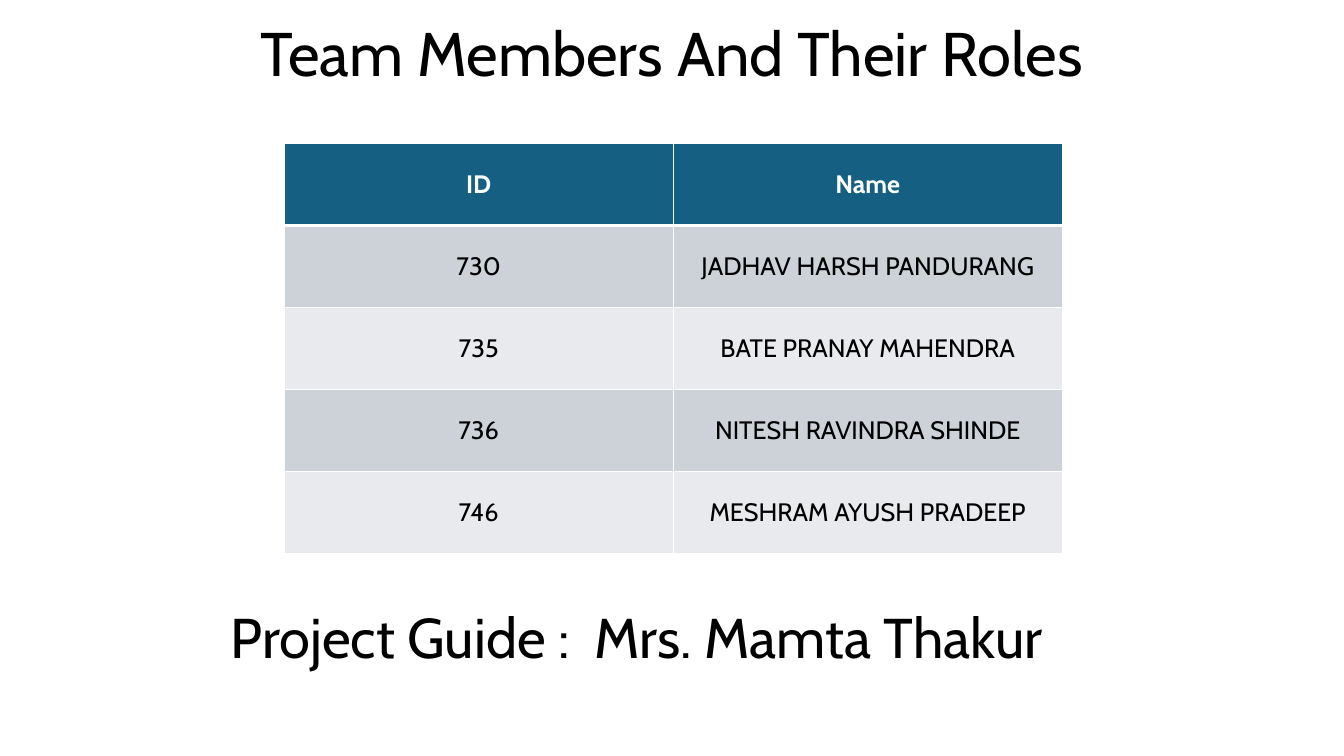
from lxml.etree import SubElement
from pptx import Presentation
from pptx.dml.color import RGBColor
from pptx.enum.text import MSO_ANCHOR, PP_ALIGN
from pptx.oxml.ns import qn
from pptx.util import Pt

FONT = "Cabin"
BLACK, WHITE, HEADER = "000000", "FFFFFF", "156082"
BANDS = ("CCD2D8", "E8EAED")
MEMBERS = [
    ("ID", "Name"),
    ("730", "JADHAV HARSH PANDURANG"),
    ("735", "BATE PRANAY MAHENDRA"),
    ("736", "NITESH RAVINDRA SHINDE"),
    ("746", "MESHRAM AYUSH PRADEEP"),
]


def color(value):
    """Turn a hex string into a colour."""
    return RGBColor.from_string(value)


def write(frame, text, size, ink, alignment, bold=False):
    """Put one styled paragraph into a text frame and return it."""
    paragraph = frame.paragraphs[0]
    paragraph.text = text
    paragraph.alignment = alignment
    paragraph.font.name = FONT
    paragraph.font.size = Pt(size)
    paragraph.font.bold = bold
    paragraph.font.color.rgb = color(ink)
    return paragraph


def add_heading(slide, box, text, size, alignment, anchor):
    """Add a line of large text in the given box."""
    frame = slide.shapes.add_textbox(*map(Pt, box)).text_frame
    frame.word_wrap = True
    frame.vertical_anchor = anchor
    return write(frame, text, size, BLACK, alignment)


def set_borders(cell, widths):
    """Give a cell white borders with widths in points by side."""
    properties = cell._tc.get_or_add_tcPr()
    for side, width in widths.items():
        line = SubElement(properties, qn(f"a:ln{side}"), w=str(Pt(width)))
        fill = SubElement(line, qn("a:solidFill"))
        SubElement(fill, qn("a:srgbClr"), val=WHITE)


def add_members(slide, box, rows):
    """Add the banded table of members with equal rows and columns."""
    left, top, width, height = box
    columns = len(rows[0])
    table = slide.shapes.add_table(len(rows), columns, *map(Pt, box)).table
    for column in table.columns:
        column.width = Pt(width / columns)
    for index, (row, values) in enumerate(zip(table.rows, rows)):
        row.height = Pt(height / len(rows))
        header = index == 0
        for cell, text in zip(row.cells, values):
            set_borders(cell, {"L": 1, "R": 1, "T": 3 if index == 1 else 1,
                               "B": 3 if header else 1})
            cell.fill.solid()
            cell.fill.fore_color.rgb = color(HEADER if header else BANDS[(index - 1) % 2])
            cell.vertical_anchor = MSO_ANCHOR.MIDDLE
            write(cell.text_frame, text, 18, WHITE if header else BLACK,
                  PP_ALIGN.CENTER, header)


def main():
    """Build the team slide and save it."""
    presentation = Presentation()
    presentation.slide_width, presentation.slide_height = Pt(960), Pt(540)
    slide = presentation.slides.add_slide(presentation.slide_layouts[6])
    title = add_heading(slide, (66, -11.5, 828, 104.4), "Team Members And Their Roles",
                        44, PP_ALIGN.CENTER, MSO_ANCHOR.MIDDLE)
    title.line_spacing = 0.9
    add_members(slide, (203, 102.3, 555.8, 293.5), MEMBERS)
    add_heading(slide, (157.7, 427, 644.4, 55.4), "Project Guide :  Mrs. Mamta Thakur",
                40, PP_ALIGN.LEFT, MSO_ANCHOR.TOP)
    presentation.save("out.pptx")


if __name__ == "__main__":
    main()
